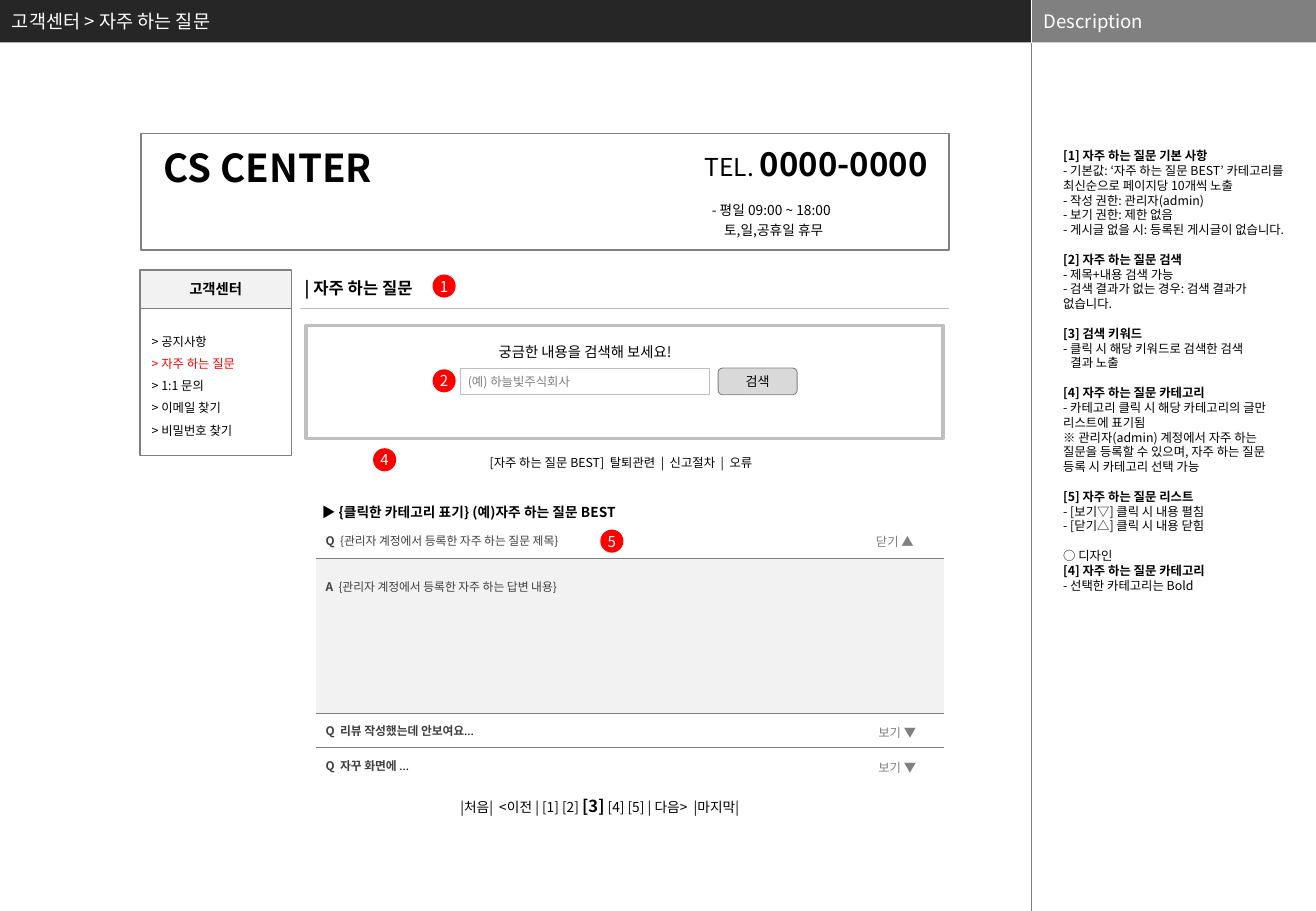
"""Builds the FAQ page wireframe of a customer centre with its description column."""
from lxml.etree import SubElement
from pptx import Presentation
from pptx.dml.color import RGBColor
from pptx.enum.shapes import MSO_CONNECTOR, MSO_SHAPE
from pptx.enum.text import MSO_ANCHOR, PP_ALIGN
from pptx.oxml.ns import qn
from pptx.util import Inches, Pt

FONT = "Noto Sans CJK KR"
BLACK, WHITE, RED, GRAY = "000000", "FFFFFF", "FF0000", "808080"
INK, SILVER, PALE = "404040", "BFBFBF", "F2F2F2"
INSETS = (0.1, 0.05, 0.1, 0.05)

DESCRIPTION = [
    ("[1] 자주 하는 질문 기본 사항", [
        "- 기본값: ‘자주 하는 질문 BEST’ 카테고리를 최신순으로 페이지당 10개씩 노출",
        "- 작성 권한: 관리자(admin)",
        "- 보기 권한: 제한 없음",
        "- 게시글 없을 시: 등록된 게시글이 없습니다."]),
    ("[2] 자주 하는 질문 검색", [
        "- 제목+내용 검색 가능",
        "- 검색 결과가 없는 경우: 검색 결과가 없습니다."]),
    ("[3] 검색 키워드", [
        "- 클릭 시 해당 키워드로 검색한 검색",
        "결과 노출"]),
    ("[4] 자주 하는 질문 카테고리", [
        "- 카테고리 클릭 시 해당 카테고리의 글만 리스트에 표기됨",
        "※ 관리자(admin) 계정에서 자주 하는 질문을 등록할 수 있으며, "
        "자주 하는 질문 등록 시 카테고리 선택 가능"]),
    ("[5] 자주 하는 질문 리스트", [
        "- [보기▽] 클릭 시 내용 펼침",
        "- [닫기△] 클릭 시 내용 닫힘"]),
]
DESIGN_NOTE = ["○ 디자인", "[4] 자주 하는 질문 카테고리", "- 선택한 카테고리는 Bold"]
MENU = ["공지사항", "자주 하는 질문", "1:1 문의", "이메일 찾기", "비밀번호 찾기"]
CURRENT = "자주 하는 질문"
QUESTIONS = [
    (0.3, "Q  ", "{관리자 계정에서 등록한 자주 하는 질문 제목}", INK),
    (1.27, "A  ", "{관리자 계정에서 등록한 자주 하는 답변 내용}", INK),
    (0.28, "Q  리뷰 작성했는데 안보여요", "...", BLACK),
    (0.3, "Q  자꾸 화면에 ", "...", BLACK),
]
TOGGLES = [("닫기 ▲", 7.11, 4.35), ("보기 ▼", 7.13, 5.92), ("보기 ▼", 7.13, 6.21)]
MARKERS = [("1", 3.56, 2.26), ("2", 3.56, 3.04), ("4", 3.07, 3.69), ("5", 4.94, 4.36)]

deck = Presentation()
deck.slide_width, deck.slide_height = Inches(10.83), Inches(7.5)
page = deck.slides.add_slide(deck.slide_layouts[6])


def color(value):
    return RGBColor.from_string(value)


def line(text, size=7.3, ink=BLACK, bold=False, **layout):
    return dict(spans=[(text, {})], size=size, ink=ink, bold=bold, **layout)


def write(frame, lines):
    for index, item in enumerate(lines):
        para = frame.add_paragraph() if index else frame.paragraphs[0]
        font = para.font
        font.name, font.size, font.bold = FONT, Pt(item["size"]), item["bold"]
        font.color.rgb = color(item["ink"])
        SubElement(font._rPr, qn("a:ea"), typeface=FONT)
        para.alignment = item.get("align", PP_ALIGN.LEFT)
        para.space_before = Pt(item.get("before", 0))
        para.line_spacing = item.get("spacing", 1.0)
        if "indent" in item:
            para._p.get_or_add_pPr().set("marL", str(Inches(item["indent"])))
        for text, change in item["spans"]:
            span = para.add_run()
            span.text = text
            if "size" in change:
                span.font.size = Pt(change["size"])
            if "bold" in change:
                span.font.bold = change["bold"]
            if "ink" in change:
                span.font.color.rgb = color(change["ink"])


def set_frame(holder, insets, anchor):
    holder.margin_left, holder.margin_top, holder.margin_right, holder.margin_bottom = map(Inches, insets)
    holder.vertical_anchor = anchor


def add_text(at, lines, insets=INSETS, anchor=MSO_ANCHOR.TOP):
    box = page.shapes.add_textbox(*map(Inches, at))
    box.text_frame.word_wrap = True
    set_frame(box.text_frame, insets, anchor)
    write(box.text_frame, lines)


def add_box(at, fill=None, edge=None, width=0.5, lines=(), insets=INSETS,
            kind=MSO_SHAPE.RECTANGLE, wrap=True):
    box = page.shapes.add_shape(kind, *map(Inches, at))
    box.shadow.inherit = False
    if fill:
        box.fill.solid()
        box.fill.fore_color.rgb = color(fill)
    else:
        box.fill.background()
    if edge:
        box.line.color.rgb = color(edge)
        box.line.width = Pt(width)
    else:
        box.line.fill.background()
    box.text_frame.word_wrap = wrap
    set_frame(box.text_frame, insets, MSO_ANCHOR.MIDDLE)
    write(box.text_frame, lines)


def add_rule(x1, y1, x2, y2, ink, width):
    rule = page.shapes.add_connector(MSO_CONNECTOR.STRAIGHT, *map(Inches, (x1, y1, x2, y2)))
    rule.line.color.rgb = color(ink)
    rule.line.width = Pt(width)
    SubElement(rule._element.spPr, qn("a:effectLst"))


def set_borders(cell, top, bottom):
    props = cell._tc.get_or_add_tcPr()
    for index, (side, shown) in enumerate((("lnL", False), ("lnR", False), ("lnT", top), ("lnB", bottom))):
        border = props.makeelement(qn("a:" + side), {"w": str(Pt(0.5))})
        props.insert(index, border)
        if shown:
            SubElement(SubElement(border, qn("a:solidFill")), qn("a:srgbClr"), val=GRAY)
        else:
            SubElement(border, qn("a:noFill"))


def add_questions():
    heights = [row[0] for row in QUESTIONS]
    table = page.shapes.add_table(len(QUESTIONS), 1, Inches(2.6), Inches(4.3),
                                  Inches(5.17), Inches(sum(heights))).table
    table.first_row = table.horz_banding = False
    for index, (height, lead, rest, ink) in enumerate(QUESTIONS):
        table.rows[index].height = Inches(height)
        cell = table.cell(index, 0)
        answer = lead.startswith("A")
        set_frame(cell, (0.08, 0.16 if answer else 0.04, 0.08, 0.04),
                  MSO_ANCHOR.TOP if answer else MSO_ANCHOR.MIDDLE)
        if answer:
            cell.fill.solid()
            cell.fill.fore_color.rgb = color(PALE)
        else:
            cell.fill.background()
        set_borders(cell, index > 0, index < len(QUESTIONS) - 1)
        spans = [(lead, {"bold": True}), (rest, {"ink": ink})]
        write(cell.text_frame, [dict(spans=spans, size=7, ink=INK, bold=False)])


add_box((0, 0, 8.49, 0.35), "262626")
add_box((8.49, 0, 2.34, 0.35), GRAY)
add_rule(8.49, 0, 8.49, 0.35, WHITE, 0.25)
add_rule(8.49, 0.35, 8.49, 7.5, "7F7F7F", 0.25)
add_text((0, 0, 8.25, 0.35), [line("고객센터 > 자주 하는 질문", 11, WHITE)], anchor=MSO_ANCHOR.MIDDLE)
add_text((8.49, 0, 2.34, 0.34), [line("Description", 11, WHITE)], anchor=MSO_ANCHOR.MIDDLE)

notes = []
for heading, details in DESCRIPTION:
    notes.append(line(heading, bold=True, before=8.76 if notes else 0))
    notes += [line(text, indent=0.06 if text == "결과 노출" else 0) for text in details]
notes += [line(text, bold=text.startswith("["), before=0 if index else 8.76)
          for index, text in enumerate(DESIGN_NOTE)]
add_text((8.72, 1.22, 1.9, 5.69), notes, (0.03, 0, 0.03, 0))

add_box((1.16, 1.1, 6.65, 0.96), edge=GRAY, width=0.75)
add_text((1.25, 1.14, 2.58, 0.48), [line("CS CENTER", 22.8, bold=True)])
phone = [("TEL. ", {}), ("0000-0000", {"size": 19.5, "bold": True})]
add_text((5.7, 1.13, 2.15, 0.89), [
    dict(spans=phone, size=14.6, ink=BLACK, bold=False),
    line("- 평일 09:00 ~ 18:00", 8.1, indent=0.06, before=11.4),
    line("토,일,공휴일 휴무", 8.1, indent=0.16, before=2)])

add_box((1.15, 2.54, 1.25, 1.21), edge=GRAY, width=1, lines=[
    line("> " + item, ink=RED if item == CURRENT else BLACK, spacing=1.5) for item in MENU])
add_box((1.15, 2.22, 1.25, 0.32), PALE, GRAY, 1,
        [line("고객센터", 8.5, bold=True, align=PP_ALIGN.CENTER)])
add_text((2.41, 2.24, 1.27, 0.27), [line("| 자주 하는 질문", 9.8, bold=True)])
add_rule(2.47, 2.54, 7.81, 2.54, SILVER, 0.75)

add_box((2.52, 2.68, 5.24, 0.93), edge=SILVER, width=2)
add_text((3.89, 2.78, 1.85, 0.24), [line("궁금한 내용을 검색해 보세요!", 8.5, align=PP_ALIGN.CENTER)])
add_box((3.79, 3.03, 2.05, 0.22), edge=SILVER, lines=[line("(예) 하늘빛주식회사", ink=GRAY)],
        insets=(0.06, 0.03, 0.03, 0.03))
add_box((5.91, 3.03, 0.65, 0.22), "D9D9D9", GRAY, 0.5, [line("검색", 7.7, align=PP_ALIGN.CENTER)],
        (0.04, 0.04, 0.04, 0.04), MSO_SHAPE.ROUNDED_RECTANGLE)

add_text((2.49, 3.7, 5.24, 0.22), [
    line("[자주 하는 질문 BEST]  탈퇴관련  |  신고절차  |  오류", align=PP_ALIGN.CENTER)])
add_text((2.55, 4.1, 2.86, 0.24), [line("▶ {클릭한 카테고리 표기} (예)자주 하는 질문 BEST", 8.1, bold=True)])
add_questions()
for label, left, top in TOGGLES:
    add_text((left, top, 0.61, 0.22), [line(label, ink=GRAY)])
pager = [("|처음|  <이전 | [1] [2] ", {}), ("[3]", {"size": 9.8, "bold": True}),
         (" [4] [5] | 다음>  |마지막|", {})]
add_text((3.69, 6.5, 3, 0.27), [dict(spans=pager, size=8.1, ink=BLACK, bold=False)])
for number, left, top in MARKERS:
    add_box((left, top, 0.19, 0.19), RED, lines=[line(number, 8.9, WHITE, align=PP_ALIGN.CENTER)],
            insets=(0, 0, 0, 0), kind=MSO_SHAPE.OVAL, wrap=False)

deck.save("out.pptx")
